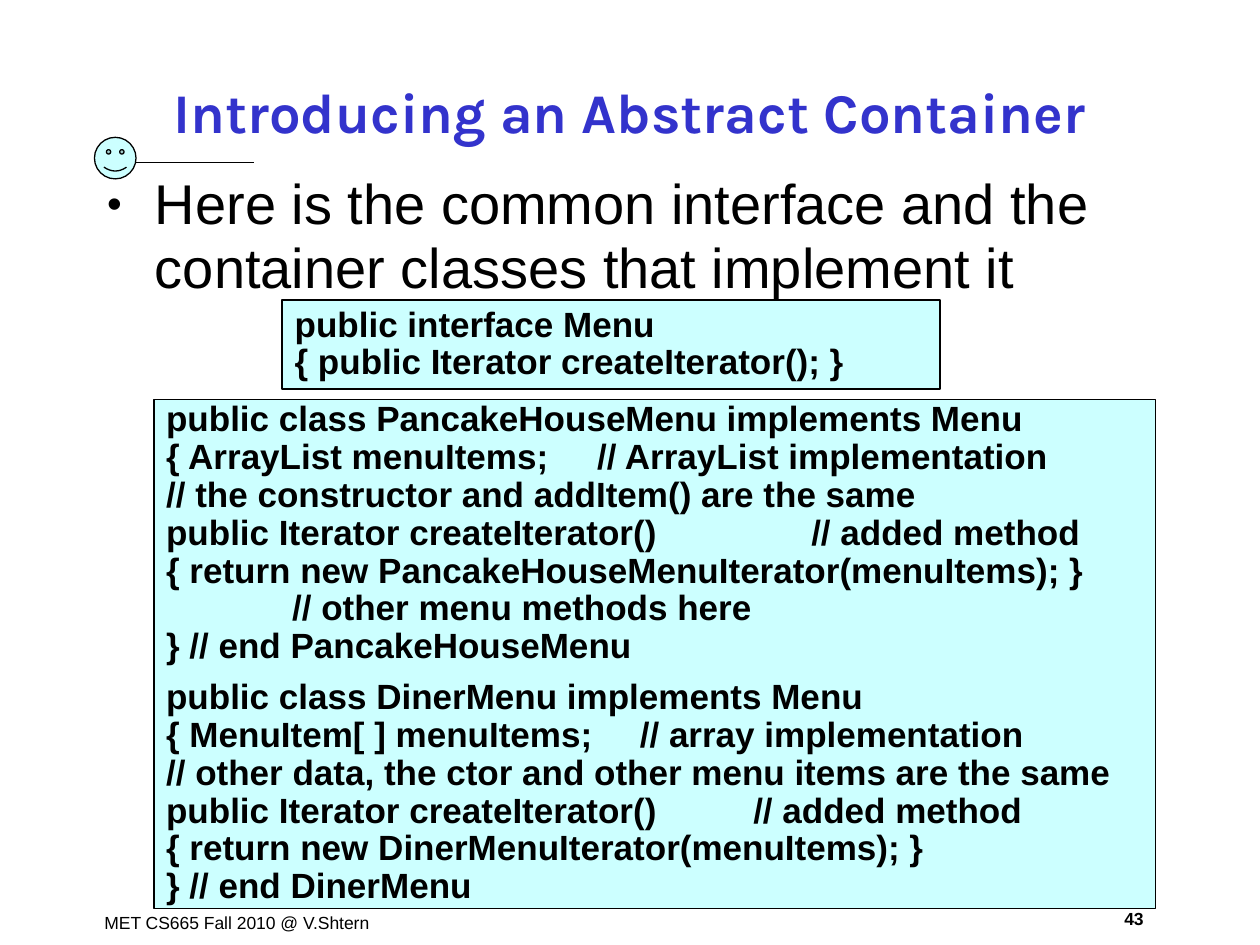
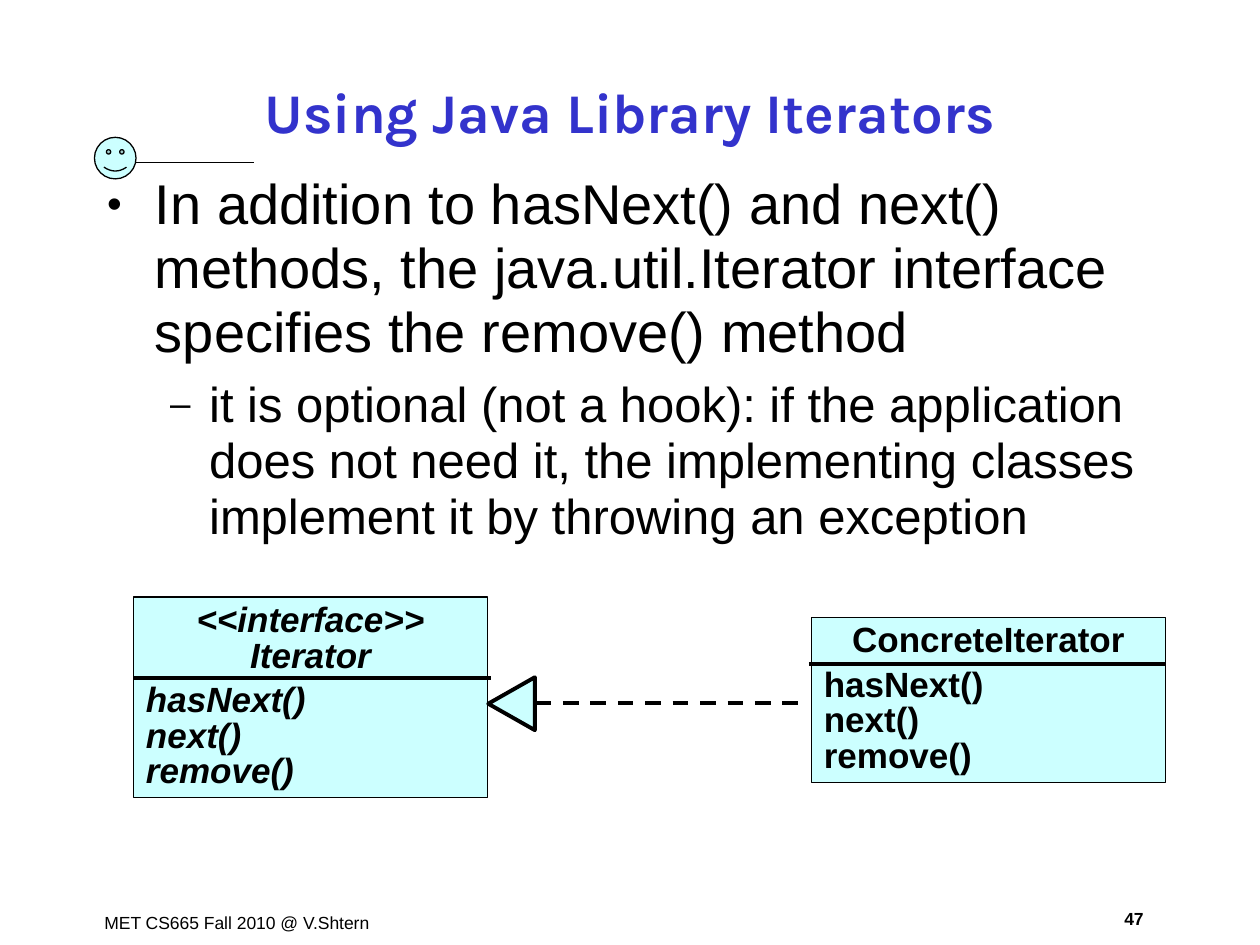
from lxml import etree
from pptx import Presentation
from pptx.dml.color import RGBColor
from pptx.enum.dml import MSO_LINE
from pptx.enum.shapes import MSO_CONNECTOR, MSO_SHAPE
from pptx.enum.text import MSO_ANCHOR, MSO_AUTO_SIZE, PP_ALIGN
from pptx.oxml.ns import qn
from pptx.util import Inches, Pt

BLACK = RGBColor(0x00, 0x00, 0x00)
TITLE_BLUE = RGBColor(0x33, 0x33, 0xCC)
PALE_CYAN = RGBColor(0xCC, 0xFF, 0xFF)
FOOTER = "MET CS665 Fall 2010 @ V.Shtern"
LEFT, CENTER = PP_ALIGN.LEFT, PP_ALIGN.CENTER
BULLETS = [("•", 0.38, 0.38, 32), ("–", 0.81, 0.31, 28)]


def write_paragraph(frame, text, size, bold=False, italic=False, align=LEFT,
                    before=0, spacing=1.0, tab=None, font="Arial", color=BLACK):
    paragraph = frame.paragraphs[0]
    if paragraph.runs:
        paragraph = frame.add_paragraph()
    paragraph.alignment = align
    paragraph.space_before = Pt(before)
    paragraph.line_spacing = spacing
    if tab:
        tab_list = etree.SubElement(paragraph._p.get_or_add_pPr(), qn("a:tabLst"))
        etree.SubElement(tab_list, qn("a:tab"), pos=str(Inches(tab)), algn="l")
    run = paragraph.add_run()
    run.text = text
    run.font.name = font
    run.font.size = Pt(size)
    run.font.bold = bold
    run.font.italic = italic
    run.font.color.rgb = color
    return paragraph


def add_shape(slide, kind, left, top, width, height, weight):
    shape = slide.shapes.add_shape(kind, Inches(left), Inches(top), Inches(width), Inches(height))
    shape.shadow.inherit = False
    shape.fill.solid()
    shape.fill.fore_color.rgb = PALE_CYAN
    shape.line.color.rgb = BLACK
    shape.line.width = Pt(weight)
    shape.text_frame.word_wrap = True
    shape.text_frame.vertical_anchor = MSO_ANCHOR.MIDDLE
    return shape


menu_classes = [
    ("public class PancakeHouseMenu implements Menu", LEFT, 0, None),
    ("{ ArrayList menuItems;\t// ArrayList implementation", LEFT, 0, 3.42),
    ("// the constructor and addItem() are the same", LEFT, 0, None),
    ("public Iterator createIterator()\t// added method", LEFT, 0, 5.12),
    ("{ return new PancakeHouseMenuIterator(menuItems); }", LEFT, 0, None),
    ("\t// other menu methods here", LEFT, 0, 1),
    ("} // end PancakeHouseMenu", LEFT, 0, None),
    ("public class DinerMenu implements Menu", LEFT, 7.5, None),
    ("{ MenuItem[ ] menuItems;\t// array implementation", LEFT, 0, 3.76),
    ("// other data, the ctor and other menu items are the same", LEFT, 0, None),
    ("public Iterator createIterator()\t// added method", LEFT, 0, 4.66),
    ("{ return new DinerMenuIterator(menuItems); }", LEFT, 0, None),
    ("} // end DinerMenu", LEFT, 0, None),
]
menu_interface = [
    ("public interface Menu", LEFT, 0, None),
    ("{ public Iterator createIterator(); }", LEFT, 0, None),
]
iterator_methods = [
    ("hasNext()", LEFT, 5, None),
    ("next()", LEFT, 0, None),
    ("remove()", LEFT, 0, None),
]
iterator_interface = [
    ("<<interface>>", CENTER, 0, None),
    ("Iterator", CENTER, 0, None),
] + iterator_methods
concrete_iterator = [("ConcreteIterator", CENTER, 0, None)] + iterator_methods

pages = [
    {
        "title": "Introducing an Abstract Container",
        "number": "43",
        "bullets": [
            (0, 6, "Here is the common interface and the container classes that implement it"),
        ],
        "boxes": [
            (1.22, 3.17, 7.95, 4.04, 0.9, False, menu_classes),
            (2.24, 2.38, 5.22, 0.71, 0.9, False, menu_interface),
        ],
        "arrowheads": [],
        "lines": [],
    },
    {
        "title": "Using Java Library Iterators",
        "number": "47",
        "bullets": [
            (0, 8, "In addition to hasNext() and next() methods, the java.util.Iterator "
                   "interface specifies the remove() method"),
            (1, 7, "it is optional (not a hook): if the application does not need it, the "
                   "implementing classes implement it by throwing an exception"),
        ],
        "boxes": [
            (1.06, 4.74, 2.81, 1.59, 0.85, True, iterator_interface),
            (6.44, 4.9, 2.81, 1.31, 0.85, False, concrete_iterator),
        ],
        "arrowheads": [(3.85, 5.4, 0.42, 0.37)],
        "lines": [
            (1.06, 3.9, 5.38, 2.25, None),
            (6.42, 9.25, 5.27, 2.25, None),
            (4.25, 6.42, 5.58, 2.25, MSO_LINE.DASH),
        ],
    },
]

presentation = Presentation()
presentation.slide_width = Inches(10)
presentation.slide_height = Inches(7.5)

for page in pages:
    slide = presentation.slides.add_slide(presentation.slide_layouts[1])
    title, body = slide.placeholders
    for placeholder, top, height, anchor in [
        (title, 0.48, 0.8, MSO_ANCHOR.MIDDLE),
        (body, 1.33, 5.76, MSO_ANCHOR.TOP),
    ]:
        placeholder.left, placeholder.top = Inches(0.75), Inches(top)
        placeholder.width, placeholder.height = Inches(8.5), Inches(height)
        placeholder.text_frame.auto_size = MSO_AUTO_SIZE.NONE
        placeholder.text_frame.vertical_anchor = anchor

    write_paragraph(title.text_frame, page["title"], 32, bold=True, align=CENTER,
                    font="Karla", color=TITLE_BLUE)

    for level, before, text in page["bullets"]:
        symbol, margin, hanging, size = BULLETS[level]
        paragraph = write_paragraph(body.text_frame, text, size, before=before, spacing=0.95)
        paragraph.level = level
        properties = paragraph._p.get_or_add_pPr()
        properties.set("marL", str(Inches(margin)))
        properties.set("indent", str(-Inches(hanging)))
        bullet_color = etree.SubElement(properties, qn("a:buClr"))
        etree.SubElement(bullet_color, qn("a:srgbClr"), val=str(BLACK))
        etree.SubElement(properties, qn("a:buSzPct"), val="75000")
        etree.SubElement(properties, qn("a:buFont"), typeface="Arial")
        etree.SubElement(properties, qn("a:buChar"), char=symbol)

    for text, left, top, width, align, bold in [
        (FOOTER, 0.73, 7.19, 2.41, LEFT, False),
        (page["number"], 8.73, 7.16, 0.54, CENTER, True),
    ]:
        footer = slide.shapes.add_textbox(Inches(left), Inches(top), Inches(width), Inches(0.27))
        footer.text_frame.word_wrap = True
        write_paragraph(footer.text_frame, text, 10, bold=bold, align=align, before=6.2)

    add_shape(slide, MSO_SHAPE.SMILEY_FACE, 0.75, 1.09, 0.33, 0.33, 0.75)

    for left, top, width, height, spacing, italic, lines in page["boxes"]:
        box = add_shape(slide, MSO_SHAPE.RECTANGLE, left, top, width, height, 1)
        for text, align, before, tab in lines:
            write_paragraph(box.text_frame, text, 20, bold=True, italic=italic, align=align,
                            before=before, spacing=spacing, tab=tab)

    for left, top, width, height in page["arrowheads"]:
        arrowhead = add_shape(slide, MSO_SHAPE.ISOSCELES_TRIANGLE, left, top, width, height, 2.25)
        arrowhead.rotation = 270

    for start, end, height, weight, dash in [(1.08, 2.02, 1.29, 1, None)] + page["lines"]:
        connector = slide.shapes.add_connector(
            MSO_CONNECTOR.STRAIGHT, Inches(start), Inches(height), Inches(end), Inches(height))
        connector.line.color.rgb = BLACK
        connector.line.width = Pt(weight)
        if dash:
            connector.line.dash_style = dash
        etree.SubElement(connector._element.spPr, qn("a:effectLst"))

presentation.save("out.pptx")
